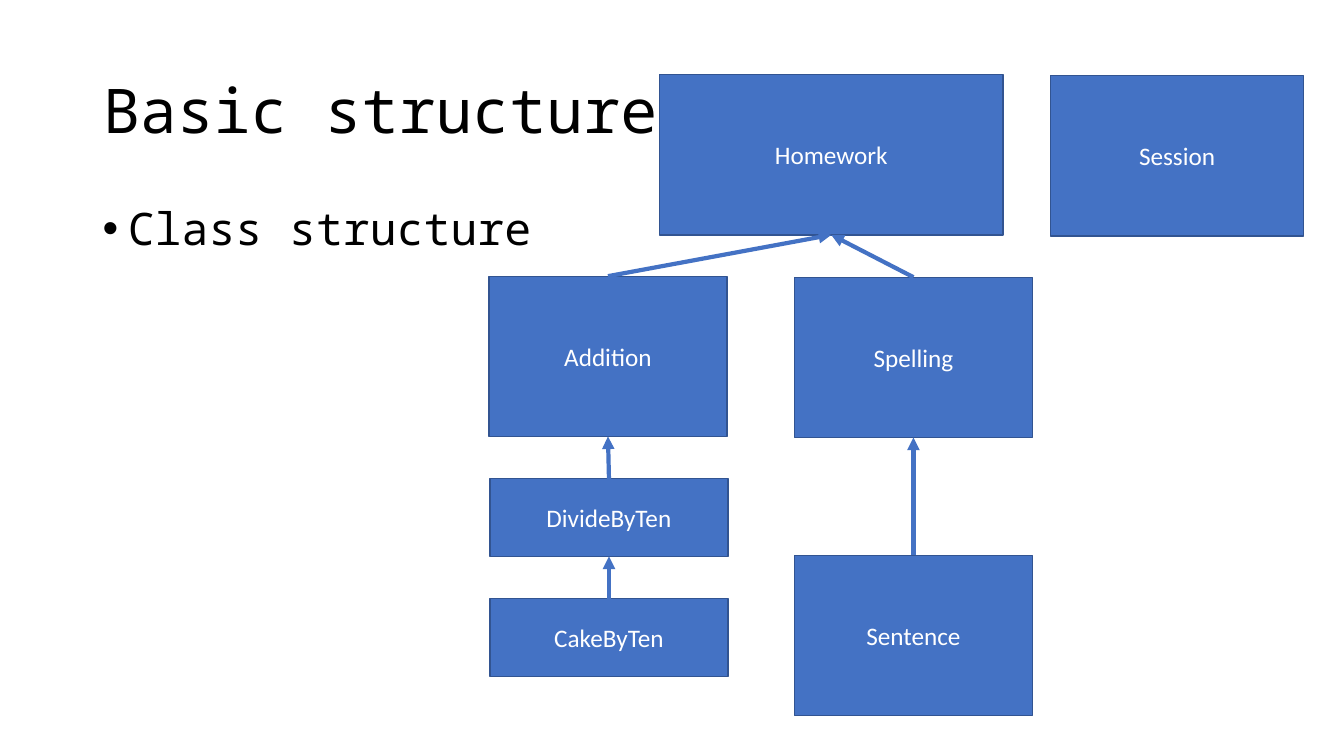
from dataclasses import dataclass

from lxml.etree import SubElement
from pptx import Presentation
from pptx.dml.color import RGBColor
from pptx.enum.shapes import MSO_CONNECTOR, MSO_SHAPE
from pptx.enum.text import MSO_ANCHOR, MSO_AUTO_SIZE, PP_ALIGN
from pptx.oxml.ns import qn
from pptx.shapes.autoshape import Shape
from pptx.slide import Slide
from pptx.text.text import TextFrame
from pptx.util import Emu, Pt

PX = 9144  # EMU in one px, 100 px to the inch

BLUE = RGBColor(0x44, 0x72, 0xC4)
DARK_BLUE = RGBColor(0x32, 0x54, 0x91)
BLACK = RGBColor(0x00, 0x00, 0x00)
WHITE = RGBColor(0xFF, 0xFF, 0xFF)

MONO = "Noto Sans Mono"
SANS = "Calibri"

TOP_SITE, BOTTOM_SITE = 0, 2


@dataclass(frozen=True)
class ClassBox:
    name: str
    left: int
    top: int
    width: int = 236
    height: int = 159
    parent: str | None = None


CLASSES = [
    ClassBox("Homework", 654, 74, width=341),
    ClassBox("Addition", 485, 274, parent="Homework"),
    ClassBox("Spelling", 788, 275, parent="Homework"),
    ClassBox("Sentence", 788, 551, parent="Spelling"),
    ClassBox("Session", 1042, 75, width=251),
    ClassBox("DivideByTen", 486, 475, height=77, parent="Addition"),
    ClassBox("CakeByTen", 486, 594, height=77, parent="DivideByTen"),
]


def px(length: int) -> Emu:
    return Emu(length * PX)


def write(frame: TextFrame, text: str, *, size: int, font: str, color: RGBColor,
          align: PP_ALIGN = PP_ALIGN.LEFT, anchor: MSO_ANCHOR = MSO_ANCHOR.MIDDLE,
          line_spacing: float = 1.0, space_before: int = 0,
          bullet: str | None = None, indent: int = 0) -> None:
    frame.word_wrap = True
    frame.auto_size = MSO_AUTO_SIZE.NONE
    frame.vertical_anchor = anchor
    para = frame.paragraphs[0]
    para.alignment = align
    para.line_spacing = line_spacing
    para.space_before = Pt(space_before)
    span = para.add_run()
    span.text = text
    span.font.size = Pt(size)
    span.font.name = font
    span.font.color.rgb = color
    if bullet:
        settings = para._p.get_or_add_pPr()
        settings.set("marL", str(px(indent)))
        settings.set("indent", str(-px(indent)))
        SubElement(settings, qn("a:buFont"), typeface="Arial")
        SubElement(settings, qn("a:buChar"), char=bullet)


def draw_class(page: Slide, item: ClassBox) -> Shape:
    box = page.shapes.add_shape(MSO_SHAPE.RECTANGLE, px(item.left), px(item.top),
                                px(item.width), px(item.height))
    box.shadow.inherit = False
    box.fill.solid()
    box.fill.fore_color.rgb = BLUE
    box.line.color.rgb = DARK_BLUE
    box.line.width = Pt(1)
    write(box.text_frame, item.name, size=18, font=SANS, color=WHITE,
          align=PP_ALIGN.CENTER)
    return box


def draw_inheritance(page: Slide, child: Shape, parent: Shape) -> None:
    arrow = page.shapes.add_connector(MSO_CONNECTOR.STRAIGHT, 0, 0, 0, 0)
    arrow.begin_connect(child, TOP_SITE)
    arrow.end_connect(parent, BOTTOM_SITE)
    arrow.line.color.rgb = BLUE
    arrow.line.width = Pt(3)
    SubElement(arrow.line._get_or_add_ln(), qn("a:tailEnd"), type="triangle")
    SubElement(arrow._element.spPr, qn("a:effectLst"))


def main() -> None:
    deck = Presentation()
    deck.slide_width, deck.slide_height = px(1333), px(750)
    page = deck.slides.add_slide(deck.slide_layouts.get_by_name("Title Only"))

    # Title and bullet
    title = page.shapes.title
    title.left, title.top = px(92), px(40)
    title.width, title.height = px(1150), px(145)
    write(title.text_frame, "Basic structure", size=44, font=MONO, color=BLACK,
          line_spacing=0.9)
    body = page.shapes.add_textbox(px(92), px(200), px(1150), px(476))
    write(body.text_frame, "Class structure", size=32, font=MONO, color=BLACK,
          anchor=MSO_ANCHOR.TOP, line_spacing=0.9, space_before=10,
          bullet="•", indent=25)

    # Class diagram
    boxes = {item.name: draw_class(page, item) for item in CLASSES}
    for item in CLASSES:
        if item.parent:
            draw_inheritance(page, boxes[item.name], boxes[item.parent])

    deck.save("out.pptx")


if __name__ == "__main__":
    main()
